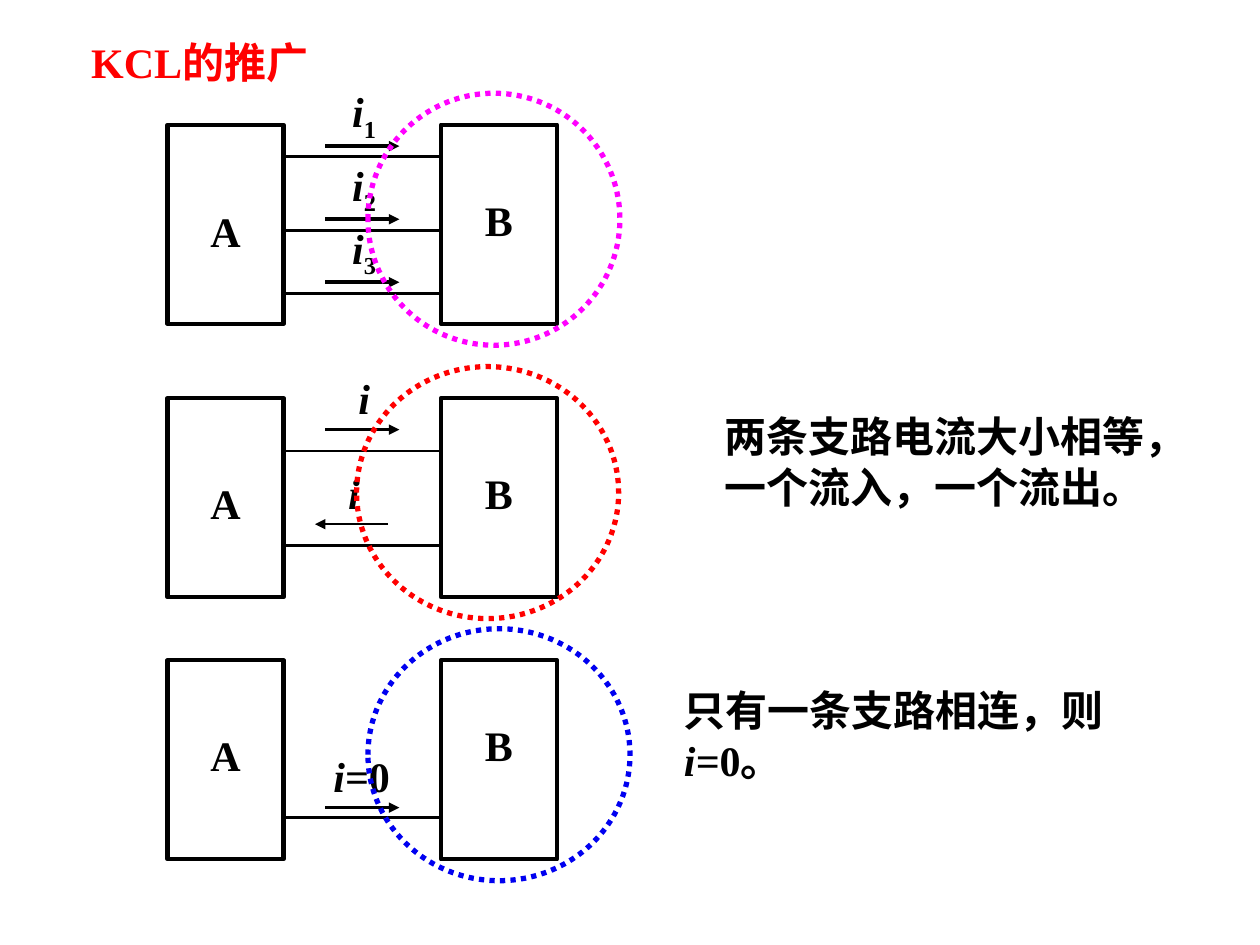
import pptx
import pptx.util
import pptx.dml.color
import pptx.enum.dml
import pptx.enum.shapes
import pptx.enum.text
import pptx.oxml.ns
from lxml import etree

Inches, Pt = pptx.util.Inches, pptx.util.Pt
RGBColor = pptx.dml.color.RGBColor
ALIGN = pptx.enum.text.PP_ALIGN
MIDDLE = pptx.enum.text.MSO_ANCHOR.MIDDLE
SHAPE = pptx.enum.shapes.MSO_SHAPE
qn = pptx.oxml.ns.qn

BLACK = RGBColor(0x00, 0x00, 0x00)
RED = RGBColor(0xFF, 0x00, 0x00)
MAGENTA = RGBColor(0xFF, 0x00, 0xFF)
BLUE = RGBColor(0x00, 0x00, 0xF0)
FONT = {"name": "Times New Roman", "size": Pt(24), "bold": True}

prs = pptx.Presentation()
prs.slide_width, prs.slide_height = Inches(10), Inches(7.5)
s = prs.slides.add_slide(prs.slide_layouts[5])


def write(sp, lines, color=BLACK, align=ALIGN.CENTER, wrap=False):
    """Fill a shape with lines of (text, style) runs; style is i, sub or empty."""
    tf = sp.text_frame
    tf.word_wrap = wrap
    tf.vertical_anchor = MIDDLE
    tf.auto_size = pptx.enum.text.MSO_AUTO_SIZE.NONE
    for n, runs in enumerate(lines):
        p = tf.add_paragraph() if n else tf.paragraphs[0]
        p.alignment = align
        for text, style in runs:
            r = p.add_run()
            r.text = text
            for key, value in FONT.items():
                setattr(r.font, key, value)
            r.font.italic = style == "i"
            r.font.color.rgb = color
            if style == "sub":
                r.font._element.set("baseline", "-25000")


def line(x1, x2, y, width, arrow=False):
    """Draw a horizontal wire or current arrow."""
    c = s.shapes.add_connector(pptx.enum.shapes.MSO_CONNECTOR.STRAIGHT,
                               Inches(x1), Inches(y), Inches(x2), Inches(y))
    c.line.color.rgb = BLACK
    c.line.width = Pt(width)
    if arrow:
        etree.SubElement(c.line._get_or_add_ln(), qn("a:tailEnd"), type="triangle")
    etree.SubElement(c._element.spPr, qn("a:effectLst"))


# Title
title = s.shapes.title
title.left, title.top, title.width, title.height = map(Inches, (0.42, 0.24, 2.33, 0.5))
write(title, [[("KCL的推广", "")]], RED, wrap=True)

# Circuits: box top, label tops, arrow width, wires,
# currents (runs, label centre, arrow start, arrow end, arrow height), circle
circuits = [
    (0.99, (1.58, 1.49), 2, (1.24, 1.83, 2.33),
     [([("i", "i"), (str(n), "sub")], 2.89, 2.58, 3.17, y)
      for n, y in enumerate((1.16, 1.74, 2.24), 1)],
     (2.92, 0.74, 2, MAGENTA)),
    (3.16, (3.74, 3.66), 1.5, (3.58, 4.33),
     [([("i", "i")], 2.89, 2.58, 3.17, 3.41),
      ([("i", "i")], 2.81, 3.08, 2.5, 4.16)],
     (2.83, 2.91, 2.08, RED)),
    (5.24, (5.74, 5.66), 1.5, (6.49,),
     [([("i=", "i"), ("0", "")], 2.87, 2.58, 3.17, 6.41)],
     (2.92, 4.99, 2.08, BLUE)),
]
for top, label_tops, arrow_width, wires, currents, circle in circuits:
    # Networks A and B
    for name, x, label_top in zip("AB", (1.33, 3.5), label_tops):
        sp = s.shapes.add_shape(SHAPE.RECTANGLE, Inches(x), Inches(top),
                                Inches(0.92), Inches(1.58))
        sp.shadow.inherit = False
        sp.fill.background()
        sp.line.color.rgb = BLACK
        sp.line.width = Pt(2.5)
        label = s.shapes.add_textbox(Inches(x + 0.24), Inches(label_top),
                                     Inches(0.44), Inches(0.5))
        write(label, [[(name, "")]])

    # Wires and currents
    for y in wires:
        line(2.25, 3.5, y, 1.5)
    for runs, centre, start, end, y in currents:
        line(start, end, y, arrow_width, arrow=True)
        label = s.shapes.add_textbox(Inches(centre - 0.4), Inches(y - 0.5),
                                     Inches(0.8), Inches(0.5))
        write(label, [runs])

    # Closed surface around B
    x, y, width, color = circle
    sp = s.shapes.add_shape(SHAPE.OVAL, Inches(x), Inches(y), Inches(width), Inches(2))
    sp.shadow.inherit = False
    sp.fill.background()
    sp.line.color.rgb = color
    sp.line.width = Pt(3)
    sp.line.dash_style = pptx.enum.dml.MSO_LINE.ROUND_DOT

# Conclusions
notes = [
    (5.65, 3.21, 3.89, [[("两条支路电流大小相等，", "")], [("一个流入，一个流出。", "")]]),
    (5.33, 5.38, 4.42, [[("只有一条支路相连，则", "")], [("i=", "i"), ("0。", "")]]),
]
for x, y, width, lines in notes:
    sp = s.shapes.add_textbox(Inches(x), Inches(y), Inches(width), Inches(0.9))
    write(sp, lines, align=ALIGN.LEFT, wrap=width > 4)

prs.save("out.pptx")
